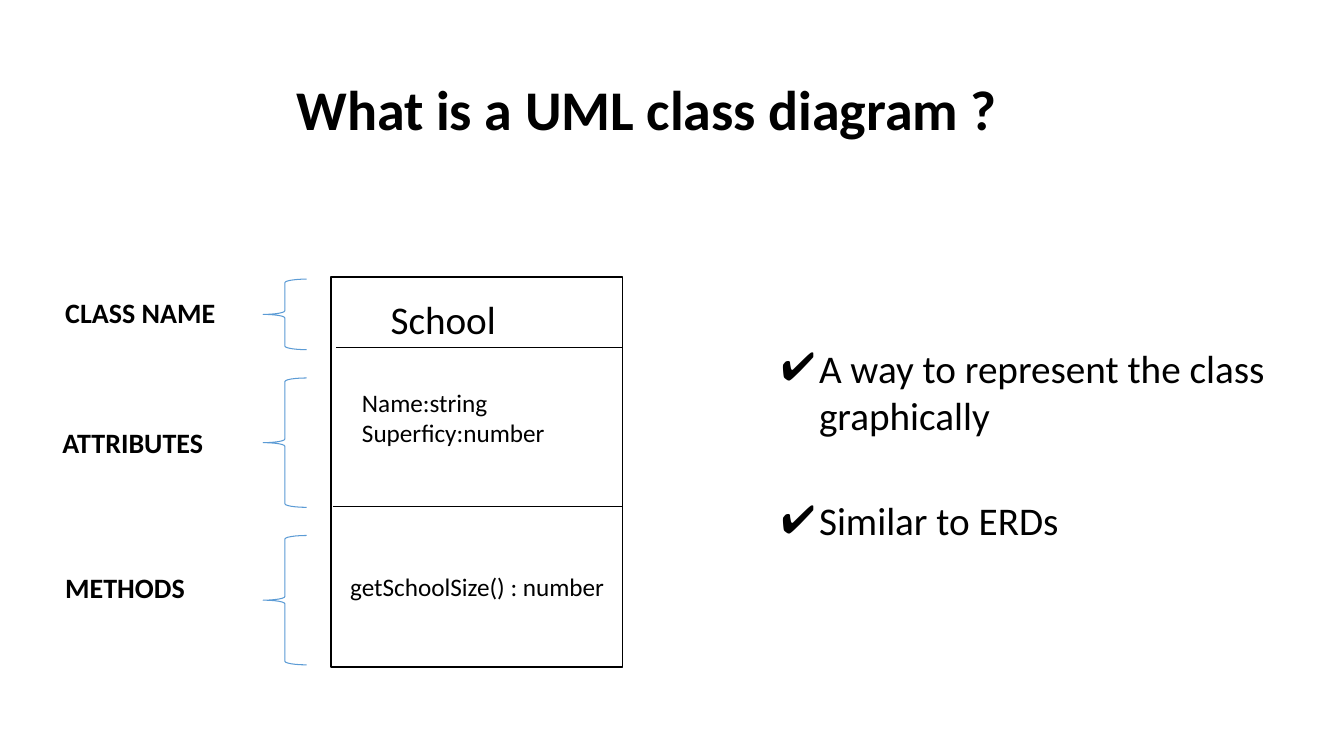
from lxml import etree
from pptx import Presentation
from pptx.dml.color import RGBColor
from pptx.enum import shapes, text
from pptx.oxml import ns
from pptx.util import Pt

COLORS = {"ink": "000000", "paper": "FFFFFF", "brace": "5B9BD5"}
FONT = "Calibri"


def color(name):
    return RGBColor.from_string(COLORS[name])


def place(shape, left, top, width, height):
    shape.left, shape.top = Pt(left), Pt(top)
    shape.width, shape.height = Pt(width), Pt(height)


def write(frame, lines, size, bold=False):
    frame.word_wrap = True
    frame.auto_size = text.MSO_AUTO_SIZE.NONE
    frame.vertical_anchor = text.MSO_ANCHOR.TOP
    frame.text = "\n".join(lines)
    for para in frame.paragraphs:
        para.alignment = text.PP_ALIGN.LEFT
        para.space_before = Pt(0)
        para.font.name = FONT
        para.font.size = Pt(size)
        para.font.bold = bold
        para.font.color.rgb = color("ink")


def add_text(page, box, lines, size, bold=False):
    label = page.shapes.add_textbox(*map(Pt, box))
    write(label.text_frame, lines, size, bold)


def add_check(para):
    props = para._p.get_or_add_pPr()
    props.set("marL", str(Pt(27)))
    props.set("indent", str(-Pt(27)))
    fill = etree.SubElement(props, ns.qn("a:buClr"))
    etree.SubElement(fill, ns.qn("a:srgbClr"), val=COLORS["ink"])
    etree.SubElement(props, ns.qn("a:buFont"), typeface="Arial")
    etree.SubElement(props, ns.qn("a:buChar"), char="✔")


def add_divider(page, left, right, y):
    line = page.shapes.add_connector(
        shapes.MSO_CONNECTOR.STRAIGHT, Pt(left), Pt(y), Pt(right), Pt(y))
    line.line.color.rgb = color("ink")
    line.line.width = Pt(1)
    etree.SubElement(line._element.spPr, ns.qn("a:effectLst"))


def add_brace(page, left, top, width, height):
    brace = page.shapes.add_shape(
        shapes.MSO_SHAPE.LEFT_BRACE, Pt(left), Pt(top), Pt(width), Pt(height))
    brace.shadow.inherit = False
    brace.fill.background()
    brace.line.color.rgb = color("brace")
    brace.line.width = Pt(0.75)


def title_region(page, box):
    title = page.shapes.title
    place(title, *box)
    write(title.text_frame, ["What is a UML class diagram ?"], 40, True)


def class_region(page, left, top, width, height):
    frame = page.shapes.add_shape(
        shapes.MSO_SHAPE.RECTANGLE, Pt(left), Pt(top), Pt(width), Pt(height))
    frame.shadow.inherit = False
    frame.fill.solid()
    frame.fill.fore_color.rgb = color("paper")
    frame.line.color.rgb = color("ink")
    frame.line.width = Pt(1)
    for inset, drop in ((3.5, 50.4), (1.5, 164)):
        add_divider(page, left + inset, left + width, top + drop)
    members = (
        ((35.4, 9.4, 91, 41), ["School"], 28),
        ((15, 75, 149, 51), ["Name:string", "Superficy:number"], 18),
        ((6.5, 206.5, 240, 29), ["getSchoolSize() : number"], 18),
    )
    for (x, y, w, h), lines, size in members:
        add_text(page, (left + x, top + y, w, h), lines, size)


def legend_region(page, left, top, width):
    brace_width = 31
    rows = (
        ("CLASS NAME", 2, 9.4, 1.4, 50.4),
        ("ATTRIBUTES", 0, 102.2, 72, 92.4),
        ("METHODS", 2, 206, 184.5, 92.4),
    )
    for name, inset, label_drop, brace_drop, brace_height in rows:
        add_text(page, (left + inset, top + label_drop, 134, 32), [name], 20, True)
        add_brace(page, left + width - brace_width, top + brace_drop,
                  brace_width, brace_height)


def points_region(page, box):
    body = page.placeholders[1]
    place(body, *box)
    frame = body.text_frame
    frame.text = "A way to represent the class graphically\nSimilar to ERDs"
    for para in frame.paragraphs:
        add_check(para)
    for para, line in zip(frame.paragraphs, frame.text.split("\n")):
        para.runs[0].text = line
        para.alignment = text.PP_ALIGN.LEFT
        para.font.name = FONT
        para.font.size = Pt(28)
        para.font.color.rgb = color("ink")
    frame.word_wrap = True
    frame.auto_size = text.MSO_AUTO_SIZE.NONE
    frame.vertical_anchor = text.MSO_ANCHOR.TOP
    frame.paragraphs[0].space_before = Pt(0)
    frame.paragraphs[1].space_before = Pt(42)


def main():
    deck = Presentation()
    deck.slide_width, deck.slide_height = Pt(960), Pt(540)
    page = deck.slides.add_slide(deck.slide_layouts[1])
    title_region(page, (204.5, 49.7, 605, 55.4))
    class_region(page, 236.5, 198, 208, 278.6)
    legend_region(page, 37.5, 198, 181.5)
    points_region(page, (550.8, 242, 395.3, 150.5))
    deck.save("out.pptx")


if __name__ == "__main__":
    main()
